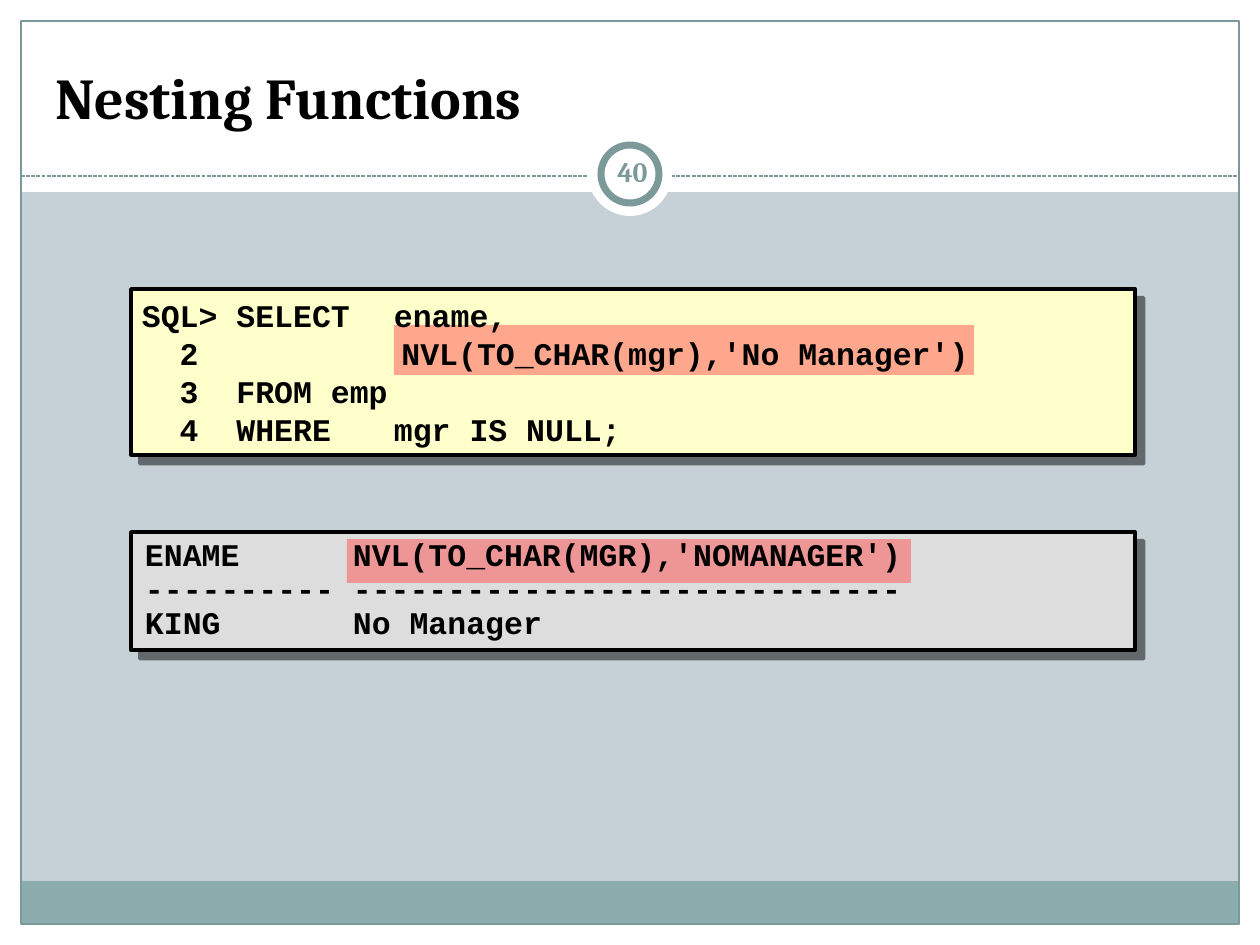
from lxml.etree import SubElement
from pptx import Presentation
from pptx.dml.color import RGBColor
from pptx.enum.dml import MSO_LINE
from pptx.enum.shapes import MSO_CONNECTOR, MSO_SHAPE
from pptx.enum.text import MSO_ANCHOR, PP_ALIGN
from pptx.oxml.ns import qn
from pptx.util import Emu, Pt

PX = 914400 / 126
WIDTH, HEIGHT = 1260, 945
MARGIN = 21
HEADER_HEIGHT = 192
RULE_Y = 176
TAB_STOP = 165

COLORS = {
    "background": "C5D1D7",
    "white": "FFFFFF",
    "black": "000000",
    "teal": "7C999A",
    "footer": "8CADAE",
    "query": "FFFFCC",
    "result": "DDDDDD",
    "highlight": "FF5050",
}

TITLE_FONT = {"name": "Cambria", "size": Pt(33), "bold": True}
NUMBER_FONT = {"name": "Cambria", "size": Pt(16), "bold": True}
CODE_FONT = {"name": "Courier New", "size": Pt(18), "bold": True}

QUERY = [
    "SQL> SELECT\tename,",
    "  2\t     NVL(TO_CHAR(mgr),'No Manager')",
    "  3  FROM\temp",
    "  4  WHERE\tmgr IS NULL;",
]
RESULT = [
    "ENAME      NVL(TO_CHAR(MGR),'NOMANAGER')",
    "---------- -----------------------------",
    "KING       No Manager",
]


def px(length):
    return Emu(round(length * PX))


def rgb(color):
    return RGBColor.from_string(COLORS[color])


def add_block(slide, box, fill=None, line=None, weight=0.75, kind=MSO_SHAPE.RECTANGLE):
    block = slide.shapes.add_shape(kind, *map(px, box))
    block.shadow.inherit = False
    if fill:
        block.fill.solid()
        block.fill.fore_color.rgb = rgb(fill)
    else:
        block.fill.background()
    if line:
        block.line.color.rgb = rgb(line)
        block.line.width = Pt(weight)
    else:
        block.line.fill.background()
    return block


def add_alpha(color_element, percent):
    SubElement(color_element, qn("a:alpha"), val=str(percent * 1000))


def add_panel(slide, box, fill):
    panel = add_block(slide, box, fill, "black", 2)
    effects = panel._element.spPr.find(qn("a:effectLst"))
    shadow = SubElement(effects, qn("a:outerShdw"), blurRad="0", dist=str(Pt(7.1)),
                        dir=str(45 * 60000), algn="ctr", rotWithShape="0")
    add_alpha(SubElement(shadow, qn("a:srgbClr"), val=COLORS["black"]), 50)


def add_highlight(slide, box):
    highlight = add_block(slide, box, "highlight")
    add_alpha(highlight._element.spPr.find(f"{qn('a:solidFill')}/{qn('a:srgbClr')}"), 50)


def add_rule(slide, y):
    rule = slide.shapes.add_connector(
        MSO_CONNECTOR.STRAIGHT, px(MARGIN), px(y), px(WIDTH - MARGIN), px(y))
    rule.line.color.rgb = rgb("teal")
    rule.line.width = Pt(0.75)
    rule.line.dash_style = MSO_LINE.SQUARE_DOT
    SubElement(rule._element.spPr, qn("a:effectLst"))


def add_text(slide, box, lines, font, color="black", anchor=MSO_ANCHOR.TOP,
             align=PP_ALIGN.LEFT, spacing=None, side_inset=13, tab=None):
    frame = slide.shapes.add_textbox(*map(px, box)).text_frame
    frame_format = {
        "word_wrap": True,
        "vertical_anchor": anchor,
        "margin_left": px(side_inset),
        "margin_right": px(side_inset),
    }
    for name, value in frame_format.items():
        setattr(frame, name, value)
    for index, line in enumerate(lines):
        paragraph = frame.paragraphs[0] if index == 0 else frame.add_paragraph()
        paragraph.alignment = align
        if spacing:
            paragraph.line_spacing = spacing
        if tab:
            tabs = SubElement(paragraph._p.get_or_add_pPr(), qn("a:tabLst"))
            SubElement(tabs, qn("a:tab"), pos=str(px(tab)), algn="l")
        run = paragraph.add_run()
        run.text = line
        for name, value in font.items():
            setattr(run.font, name, value)
        run.font.color.rgb = rgb(color)


def add_page_frame(slide):
    inner_width, inner_height = WIDTH - 2 * MARGIN, HEIGHT - 2 * MARGIN
    # White margins and header
    for box in [
        (0, HEIGHT - MARGIN, WIDTH, MARGIN),
        (0, 0, WIDTH, HEADER_HEIGHT),
        (0, 0, MARGIN, HEIGHT),
        (WIDTH - MARGIN, 0, MARGIN, HEIGHT),
    ]:
        add_block(slide, box, "white")
    # Footer band, border and dashed rule
    add_block(slide, (MARGIN, 881, inner_width, 43), "footer")
    add_block(slide, (MARGIN, MARGIN, inner_width, inner_height), line="teal")
    add_rule(slide, RULE_Y)
    # Page number badge
    add_block(slide, (588, 132, 84, 84), "white", kind=MSO_SHAPE.OVAL)
    add_block(slide, (601, 145, 58, 58), "white", "teal", 4, MSO_SHAPE.OVAL)


def main():
    deck = Presentation()
    deck.slide_width, deck.slide_height = px(WIDTH), px(HEIGHT)
    slide = deck.slides.add_slide(deck.slide_layouts[6])
    slide.background.fill.solid()
    slide.background.fill.fore_color.rgb = rgb("background")

    add_page_frame(slide)
    # Panels and highlights
    add_panel(slide, (131, 289, 1004, 166), "query")
    add_panel(slide, (131, 532, 1004, 118), "result")
    add_highlight(slide, (394, 325, 580, 50))
    add_highlight(slide, (347, 539, 564, 44))
    # Title, code and page number
    add_text(slide, (42, 32, 1176, 105), ["Nesting Functions"], TITLE_FONT,
             anchor=MSO_ANCHOR.BOTTOM)
    add_text(slide, (129, 271, 1008, 202), QUERY, CODE_FONT,
             anchor=MSO_ANCHOR.MIDDLE, tab=TAB_STOP)
    add_text(slide, (132, 533, 1000, 115), RESULT, CODE_FONT, spacing=0.9, tab=TAB_STOP)
    add_text(slide, (601, 141, 63, 60), ["40"], NUMBER_FONT, "teal",
             MSO_ANCHOR.MIDDLE, PP_ALIGN.CENTER, side_inset=6)

    deck.save("out.pptx")


if __name__ == "__main__":
    main()
